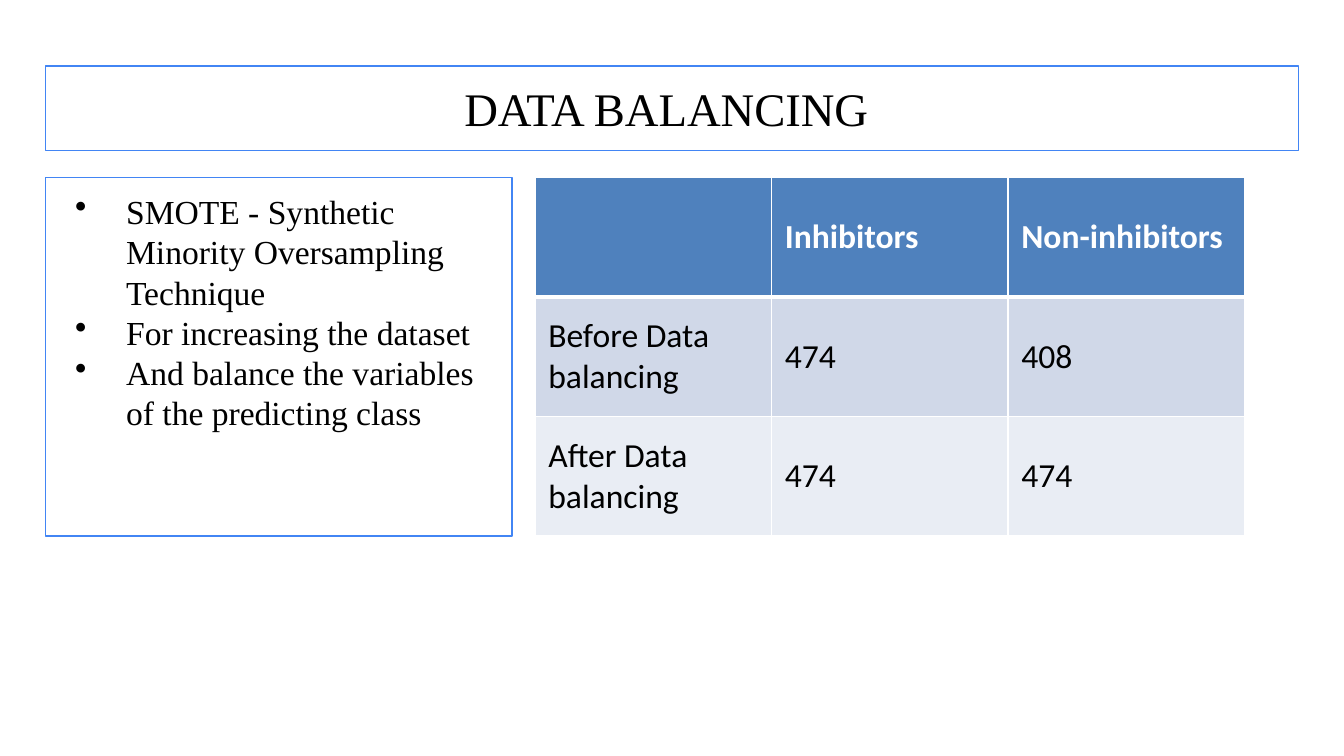
from dataclasses import dataclass

from lxml import etree
from pptx import Presentation
from pptx import util as u
from pptx.dml.color import RGBColor
from pptx.enum import shapes, text
from pptx.oxml import ns


@dataclass(frozen=True)
class Theme:
    ink: str = "000000"
    white: str = "FFFFFF"
    outline: str = "4285F4"
    row_fills: tuple = ("4F81BD", "D0D8E8", "E9EDF4")
    serif: str = "Times New Roman"
    sans: str = "Calibri"
    title_size: float = 25
    body_size: float = 18
    outline_width: float = 0.75
    border_width: float = 1
    header_border_width: float = 3


def write_text(paragraph, content, *, font, size, color, bold=False,
               align=text.PP_ALIGN.LEFT, bullet=None):
    if bullet:
        properties = paragraph._p.get_or_add_pPr()
        properties.set("marL", str(u.Inches(0.5)))
        properties.set("indent", str(u.Inches(-0.38)))
        bullet_color = etree.SubElement(properties, ns.qn("a:buClr"))
        etree.SubElement(bullet_color, ns.qn("a:srgbClr"), val=color)
        etree.SubElement(properties, ns.qn("a:buChar"), char=bullet)
    paragraph.alignment = align
    run = paragraph.add_run()
    run.text = content
    run.font.name = font
    run.font.size = u.Pt(size)
    run.font.bold = bold
    run.font.color.rgb = RGBColor.from_string(color)


class SlideBuilder:
    def __init__(self, slide, theme):
        self.slide = slide
        self.theme = theme

    def text_panel(self, left, top, width, height, lines, anchor, **text_format):
        shape = self.slide.shapes.add_shape(
            shapes.MSO_SHAPE.RECTANGLE,
            *map(u.Inches, (left, top, width, height)))
        shape.shadow.inherit = False
        shape.fill.background()
        shape.line.color.rgb = RGBColor.from_string(self.theme.outline)
        shape.line.width = u.Pt(self.theme.outline_width)
        frame = shape.text_frame
        frame.word_wrap = True
        frame.vertical_anchor = anchor
        frame.margin_left = frame.margin_right = u.Inches(0.1)
        frame.margin_top = frame.margin_bottom = u.Inches(0.1)
        for index, line in enumerate(lines):
            paragraph = frame.add_paragraph() if index else frame.paragraphs[0]
            write_text(paragraph, line, font=self.theme.serif,
                       color=self.theme.ink, **text_format)

    def table(self, left, top, column_width, row_height, rows):
        row_count, column_count = len(rows), len(rows[0])
        table = self.slide.shapes.add_table(
            row_count, column_count, u.Inches(left), u.Inches(top),
            u.Inches(column_width * column_count),
            u.Inches(row_height * row_count)).table
        for column in table.columns:
            column.width = u.Inches(column_width)
        for row in table.rows:
            row.height = u.Inches(row_height)
        for row_index, values in enumerate(rows):
            for column_index, value in enumerate(values):
                self.table_cell(table.cell(row_index, column_index),
                                value, row_index)

    def table_cell(self, cell, value, row_index):
        theme = self.theme
        is_header = row_index == 0
        cell.vertical_anchor = text.MSO_ANCHOR.MIDDLE
        thick_side = {0: "lnB", 1: "lnT"}.get(row_index)
        for side in ("lnL", "lnR", "lnT", "lnB"):
            width = (theme.header_border_width if side == thick_side
                     else theme.border_width)
            self.cell_border(cell, side, width)
        cell.fill.solid()
        cell.fill.fore_color.rgb = RGBColor.from_string(theme.row_fills[row_index])
        if value:
            write_text(cell.text_frame.paragraphs[0], value, font=theme.sans,
                       size=theme.body_size, bold=is_header,
                       color=theme.white if is_header else theme.ink)

    def cell_border(self, cell, side, width):
        properties = cell._tc.get_or_add_tcPr()
        border = etree.SubElement(properties, ns.qn(f"a:{side}"), w=str(u.Pt(width)))
        fill = etree.SubElement(border, ns.qn("a:solidFill"))
        etree.SubElement(fill, ns.qn("a:srgbClr"), val=self.theme.white)


def main():
    presentation = Presentation()
    presentation.slide_width = u.Inches(10)
    presentation.slide_height = u.Inches(10 * 9 / 16)
    theme = Theme()
    slide = presentation.slides.add_slide(presentation.slide_layouts[6])
    builder = SlideBuilder(slide, theme)

    left, content_top = 0.34, 1.32
    builder.text_panel(left, 0.49, 9.32, 0.63, ["DATA BALANCING "],
                       text.MSO_ANCHOR.MIDDLE, size=theme.title_size,
                       align=text.PP_ALIGN.CENTER)
    builder.table(3.98, content_top, 1.76, 0.89, [
        ("", "Inhibitors", "Non-inhibitors"),
        ("Before Data balancing", "474", "408"),
        ("After Data balancing", "474", "474"),
    ])
    builder.text_panel(left, content_top, 3.47, 2.67, [
        "SMOTE - Synthetic Minority Oversampling Technique",
        "For increasing the dataset",
        "And balance the variables of the predicting class",
    ], text.MSO_ANCHOR.TOP, size=theme.body_size, bullet="•")

    presentation.save("out.pptx")


if __name__ == "__main__":
    main()
